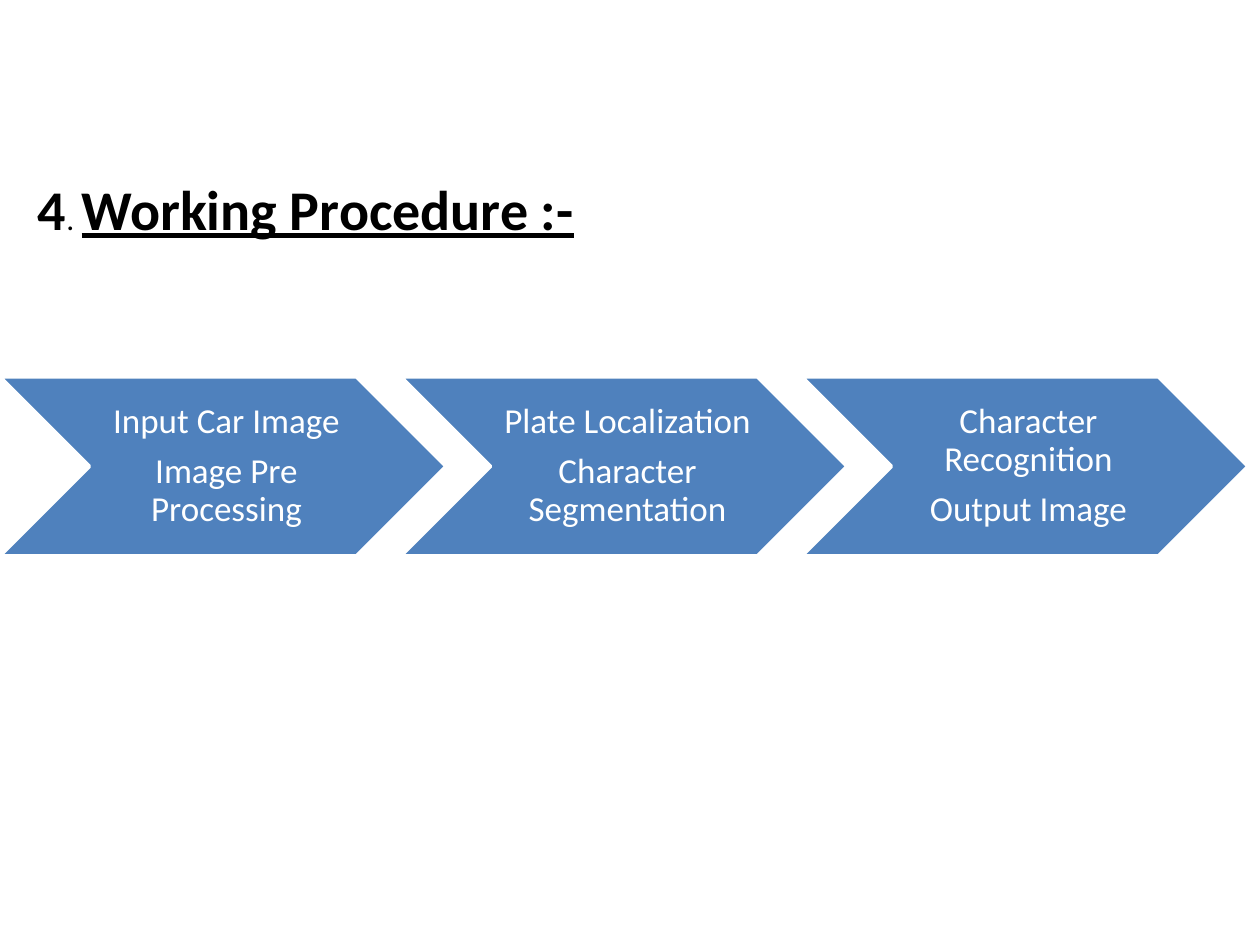
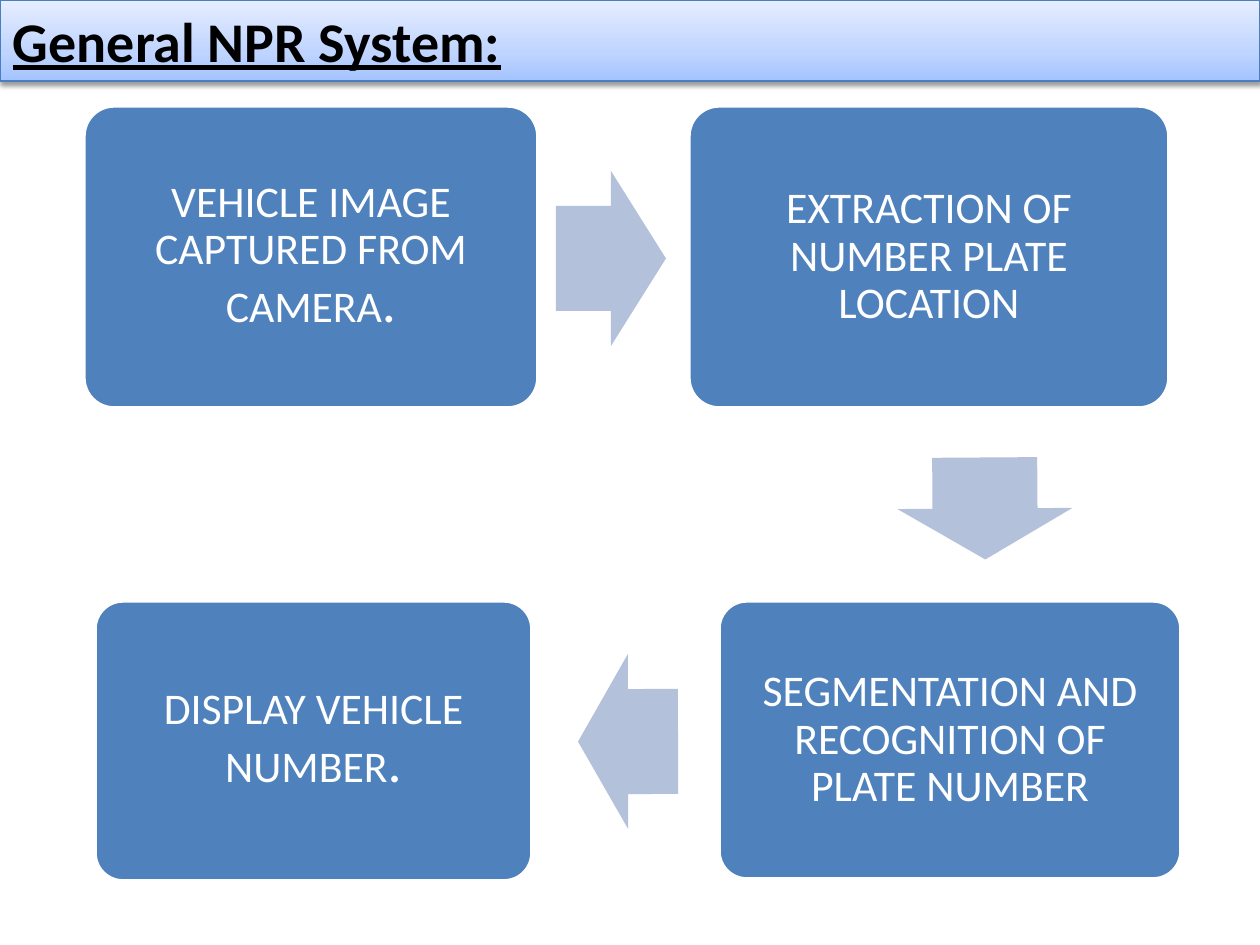
from lxml import etree
from pptx import Presentation
from pptx.dml.color import RGBColor
from pptx.enum import shapes, text
from pptx.oxml import parse_xml
from pptx.oxml.ns import nsdecls, qn
from pptx.util import Emu, Pt

PX_PER_INCH = 126
SLIDE_W, SLIDE_H = 1260, 945
FONT = "Calibri"
BLUE, PALE_BLUE, WHITE, BLACK = "4F81BD", "B3C1DB", "FFFFFF", "000000"
BAR_LINE = "4B7EBC"
BAR_STOPS = [(0, "A4C4FF"), (35, "BFD4FF"), (100, "E6EEFF")]
SHAPE = shapes.MSO_SHAPE
LEFT, CENTER = text.PP_ALIGN.LEFT, text.PP_ALIGN.CENTER
TOP, MIDDLE = text.MSO_ANCHOR.TOP, text.MSO_ANCHOR.MIDDLE


def px(length):
    return Emu(round(length * 914400 / PX_PER_INCH))


def rgb(color):
    return RGBColor.from_string(color)


def write(shape, paragraphs, size, color=BLACK, align=LEFT, anchor=MIDDLE,
          insets=(13, 6, 13, 6), line_spacing=None, space_after=None):
    """Each paragraph is a list of (words, font overrides) runs."""
    frame = shape.text_frame
    frame.word_wrap = True
    frame.auto_size = text.MSO_AUTO_SIZE.NONE
    frame.vertical_anchor = anchor
    (frame.margin_left, frame.margin_top,
     frame.margin_right, frame.margin_bottom) = map(px, insets)
    for index, runs in enumerate(paragraphs):
        paragraph = frame.add_paragraph() if index else frame.paragraphs[0]
        paragraph.alignment = align
        if line_spacing:
            paragraph.line_spacing = line_spacing
        if space_after:
            paragraph.space_after = Pt(space_after)
        for words, style in runs:
            run = paragraph.add_run()
            run.text = words
            run.font.name = FONT
            run.font.size = Pt(style.get("size", size))
            run.font.bold = style.get("bold", False)
            run.font.underline = style.get("underline", False)
            run.font.color.rgb = rgb(color)


def add_figure(slide, kind, box, fill, outline=None):
    figure = slide.shapes.add_shape(kind, *map(px, box))
    figure.shadow.inherit = False
    figure.fill.solid()
    figure.fill.fore_color.rgb = rgb(fill)
    if outline:
        figure.line.color.rgb = rgb(outline)
        figure.line.width = Pt(2)
    else:
        figure.line.fill.background()
    return figure


def add_titled_slide(deck, box, runs, **style):
    slide = deck.slides.add_slide(deck.slide_layouts[5])
    title = slide.shapes.title
    title.left, title.top, title.width, title.height = map(px, box)
    write(title, [runs], 32, **style)
    return slide


def style_title_bar(bar):
    # Gradient rising from the bottom edge
    bar.fill.gradient()
    bar.fill.gradient_angle = 90
    stops = bar.element.spPr.find(f"{qn('a:gradFill')}/{qn('a:gsLst')}")
    for stop in list(stops):
        stops.remove(stop)
    for position, color in BAR_STOPS:
        stop = etree.SubElement(stops, qn("a:gs"), pos=str(position * 1000))
        etree.SubElement(stop, qn("a:srgbClr"), val=color)
    bar.line.color.rgb = rgb(BAR_LINE)
    bar.line.width = Pt(0.75)
    # Soft shadow below the bar
    bar.element.spPr.append(parse_xml(
        f'<a:effectLst {nsdecls("a")}><a:outerShdw blurRad="{Pt(3.1)}" '
        f'dist="{Pt(1.6)}" dir="5400000" rotWithShape="0">'
        f'<a:srgbClr val="{BLACK}"><a:alpha val="38000"/></a:srgbClr>'
        '</a:outerShdw></a:effectLst>'))


def add_chevrons(slide, box, stages):
    left, top, width, height = box
    step = width * 9 // 10
    for index, stage in enumerate(stages):
        chevron = add_figure(slide, SHAPE.CHEVRON,
                             (left + index * step, top, width, height),
                             BLUE, WHITE)
        write(chevron, [[(words, {})] for words in stage], 20, WHITE, CENTER,
              insets=(11, 4, 4, 4), line_spacing=0.9, space_after=7)


def add_step(slide, box, words, ending=""):
    step = add_figure(slide, SHAPE.ROUNDED_RECTANGLE, box, BLUE, WHITE)
    step.adjustments[0] = 0.1
    runs = [(words, {})]
    if ending:
        runs.append((ending, {"size": 32}))
    write(step, [runs], 25, WHITE, CENTER, insets=(13,) * 4, line_spacing=0.9)


def add_arrow(slide, box, rotation):
    arrow = add_figure(slide, SHAPE.RIGHT_ARROW, box, PALE_BLUE)
    arrow.adjustments[0], arrow.adjustments[1] = 0.6, 0.5
    arrow.rotation = rotation


def build_procedure(deck):
    slide = add_titled_slide(
        deck, (25, 145, 1191, 142),
        [("4", {"bold": True}), (". ", {"size": 18}),
         ("Working Procedure :-", {"bold": True, "underline": True})],
        anchor=TOP, insets=(13, 29, 13, 6))
    add_chevrons(slide, (0, 377, 446, 179), [
        ("Input Car Image", "Image Pre Processing"),
        ("Plate Localization", "Character Segmentation"),
        ("Character Recognition", "Output Image"),
    ])


def build_npr_system(deck):
    slide = add_titled_slide(
        deck, (0, 0, SLIDE_W, 81),
        [("General NPR System:", {"bold": True, "underline": True})],
        anchor=TOP)
    style_title_bar(slide.shapes.title)
    # Steps, clockwise from the top left
    top_row, bottom_row = 106, 601
    add_step(slide, (84, top_row, 454, 302),
             "VEHICLE IMAGE CAPTURED FROM CAMERA", ".")
    add_step(slide, (689, top_row, 480, 302),
             "EXTRACTION OF NUMBER PLATE LOCATION")
    add_step(slide, (719, bottom_row, 462, 278),
             "SEGMENTATION AND RECOGNITION OF PLATE NUMBER")
    add_step(slide, (95, bottom_row, 437, 280), "DISPLAY VEHICLE NUMBER", ".")
    # Arrows between the steps
    add_arrow(slide, (556, 171, 110, 175), 0)
    add_arrow(slide, (934, 421, 102, 175), 89.6)
    add_arrow(slide, (578, 654, 100, 175), 179.9)


def main():
    deck = Presentation()
    deck.slide_width, deck.slide_height = px(SLIDE_W), px(SLIDE_H)
    build_procedure(deck)
    build_npr_system(deck)
    deck.save("out.pptx")


if __name__ == "__main__":
    main()
